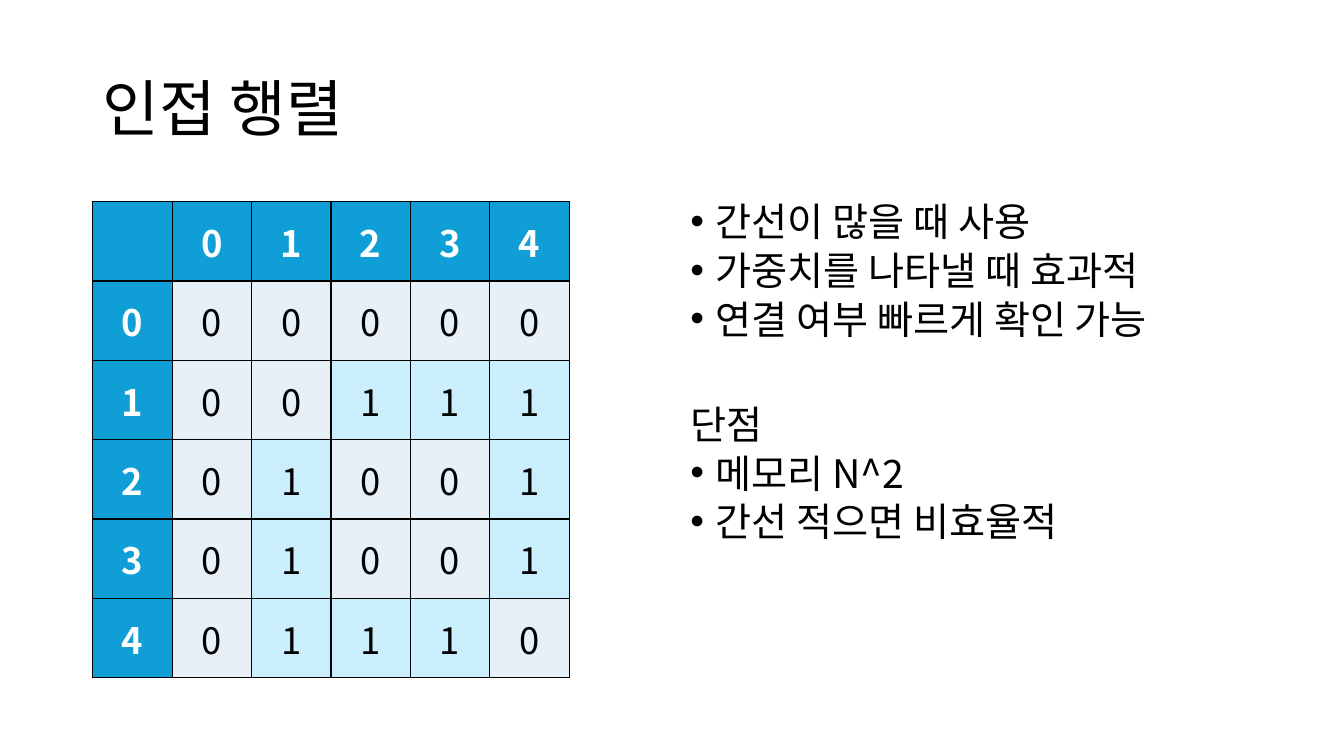
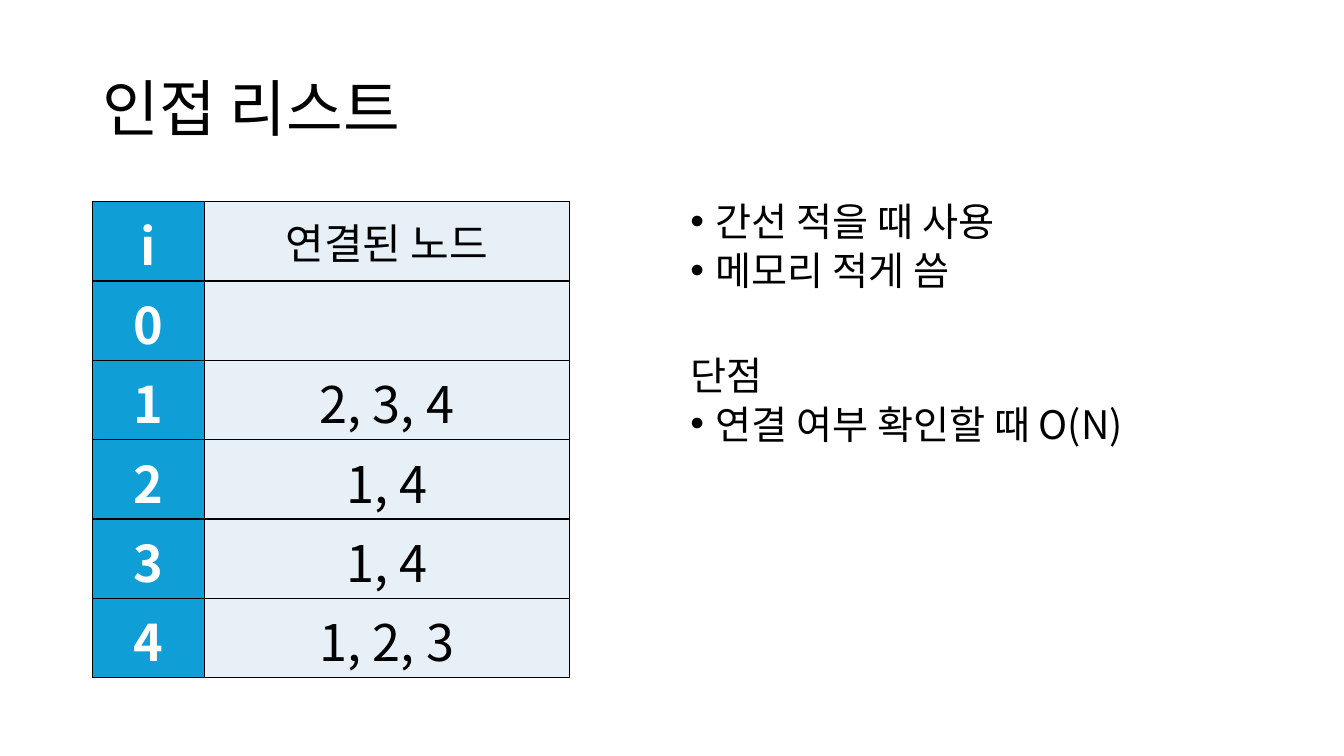
from dataclasses import dataclass
from lxml.etree import SubElement
from pptx import Presentation
from pptx.dml.color import RGBColor as Color
from pptx.enum.text import MSO_ANCHOR as Anchor, PP_ALIGN as Align
from pptx.oxml.ns import qn
from pptx.util import Inches, Pt


@dataclass(frozen=True)
class Theme:
    font: str = "Noto Sans CJK KR"
    ink: str = "000000"
    white: str = "FFFFFF"
    header: str = "0F9ED5"
    cell: str = "E7F0F7"
    edge: str = "CAEEFB"
    title_size: int = 44
    body_size: int = 28
    line_spacing: float = 0.8
    gap: int = 8
    section_gap: int = 48


THEME = Theme()
WIDTH, HEIGHT = 13.33, 7.5
TITLE_BOX = (0.92, 0.4, 11.5, 1.45)
BODY_BOX = (6.75, 2, 5.67, 4.76)
TABLE_LEFT, TABLE_TOP, TABLE_SIDE = 0.92, 2, 4.725

NEIGHBOURS = [[], [2, 3, 4], [1, 4], [1, 4], [1, 2, 3]]
NODES = range(len(NEIGHBOURS))
MATRIX = [["", *map(str, NODES)]] + [
    [str(row), *(str(int(column in NEIGHBOURS[row])) for column in NODES)] for row in NODES
]
LISTS = [["i", "연결된 노드"]] + [
    [str(node), ", ".join(map(str, NEIGHBOURS[node]))] for node in NODES
]

SLIDES = [
    {
        "title": "인접 행렬",
        "rows": MATRIX,
        "shares": [1] * 6,
        "size": 26,
        "label_size": 26,
        "header_row": True,
        "pros": ["간선이 많을 때 사용", "가중치를 나타낼 때 효과적", "연결 여부 빠르게 확인 가능"],
        "cons": ["메모리 N^2", "간선 적으면 비효율적"],
    },
    {
        "title": "인접 리스트",
        "rows": LISTS,
        "shares": [1.11, 3.62],
        "size": 36,
        "label_size": 30,
        "header_row": False,
        "pros": ["간선 적을 때 사용", "메모리 적게 씀"],
        "cons": ["연결 여부 확인할 때 O(N)"],
    },
]


def write(paragraph, text, *, size, color=THEME.ink, bold=False, align=Align.LEFT,
          spacing=None, before=0, bullet=False):
    """Fill a paragraph with formatted text."""
    paragraph.alignment = align
    paragraph.space_before = Pt(before)
    if spacing:
        paragraph.line_spacing = spacing
    if bullet:
        properties = paragraph._p.get_or_add_pPr()
        properties.set("marL", str(Inches(0.25)))
        properties.set("indent", str(-Inches(0.25)))
        SubElement(properties, qn("a:buFont"), typeface="Arial")
        SubElement(properties, qn("a:buChar"), char="•")
    run = paragraph.add_run()
    run.text = text
    run.font.name = THEME.font
    run.font.size = Pt(size)
    run.font.bold = bold
    run.font.color.rgb = Color.from_string(color)
    SubElement(run._r.get_or_add_rPr(), qn("a:ea"), typeface=THEME.font)


def add_box(slide, box, anchor):
    """Add a wrapping text box and return its frame."""
    frame = slide.shapes.add_textbox(*map(Inches, box)).text_frame
    frame.word_wrap = True
    frame.vertical_anchor = anchor
    return frame


def style_cell(cell, fill):
    """Give a cell its borders, fill and anchor."""
    properties = cell._tc.get_or_add_tcPr()
    for side in ("lnL", "lnR", "lnT", "lnB"):
        line = SubElement(properties, qn(f"a:{side}"), w=str(Pt(1)))
        SubElement(SubElement(line, qn("a:solidFill")), qn("a:srgbClr"), val=THEME.ink)
    cell.fill.solid()
    cell.fill.fore_color.rgb = Color.from_string(fill)
    cell.vertical_anchor = Anchor.MIDDLE


def add_grid(slide, content):
    """Add the node table, with headers and edges coloured by rule."""
    rows, shares = content["rows"], content["shares"]
    place = map(Inches, (TABLE_LEFT, TABLE_TOP, TABLE_SIDE, TABLE_SIDE))
    table = slide.shapes.add_table(len(rows), len(shares), *place).table
    table.first_row = table.horz_banding = False
    for column, share in zip(table.columns, shares):
        column.width = Inches(TABLE_SIDE * share / sum(shares))
    for row_index, row in enumerate(rows):
        table.rows[row_index].height = Inches(TABLE_SIDE / len(rows))
        for column_index, text in enumerate(row):
            top = row_index == 0
            header = column_index == 0 or (top and content["header_row"])
            fill = THEME.header if header else THEME.edge if text == "1" else THEME.cell
            cell = table.cell(row_index, column_index)
            style_cell(cell, fill)
            if text:
                size = content["label_size"] if top and column_index else content["size"]
                write(cell.text_frame.paragraphs[0], text, size=size, bold=header,
                      color=THEME.white if header else THEME.ink, align=Align.CENTER)


def add_points(slide, pros, cons):
    """Add the bulleted points and the drawbacks below them."""
    frame = add_box(slide, BODY_BOX, Anchor.TOP)
    points = [(text, True) for text in pros] + [("단점", False)] + [(text, True) for text in cons]
    for index, (text, bullet) in enumerate(points):
        paragraph = frame.add_paragraph() if index else frame.paragraphs[0]
        before = 0 if index == 0 else THEME.gap if bullet else THEME.section_gap
        write(paragraph, text, size=THEME.body_size, spacing=THEME.line_spacing,
              before=before, bullet=bullet)


def main():
    """Build and save the presentation."""
    presentation = Presentation()
    presentation.slide_width, presentation.slide_height = Inches(WIDTH), Inches(HEIGHT)
    for content in SLIDES:
        slide = presentation.slides.add_slide(presentation.slide_layouts[6])
        title = add_box(slide, TITLE_BOX, Anchor.MIDDLE)
        write(title.paragraphs[0], content["title"], size=THEME.title_size,
              spacing=THEME.line_spacing)
        add_grid(slide, content)
        add_points(slide, content["pros"], content["cons"])
    presentation.save("out.pptx")


if __name__ == "__main__":
    main()
